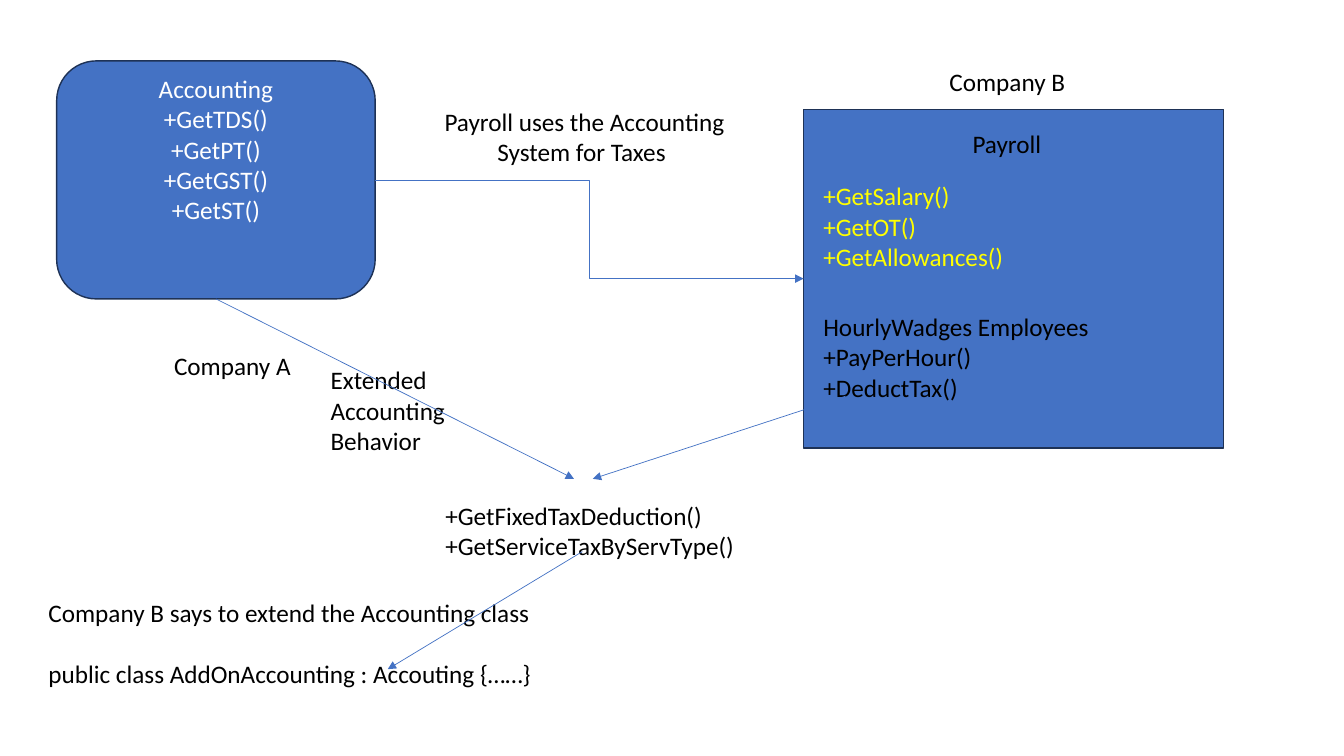
import pptx
import pptx.util
import pptx.dml.color
import pptx.enum.shapes
import pptx.enum.text
import lxml.etree

Pt = pptx.util.Pt
SHAPES = pptx.enum.shapes.MSO_SHAPE
CONNECTORS = pptx.enum.shapes.MSO_CONNECTOR
ALIGN = pptx.enum.text.PP_ALIGN
ANCHOR = pptx.enum.text.MSO_ANCHOR

BLUE, NAVY = "4472C4", "1E3256"
BLACK, WHITE, YELLOW = "000000", "FFFFFF", "FFFF00"
FONT_SIZE, LINE_HEIGHT = 18, 22

ACCOUNTING_BOX = (40.5, 43.5, 227.5, 170)
PAYROLL_BOX = (574, 78, 300, 242)
ACCOUNTING = ["Accounting", "+GetTDS()", "+GetPT()", "+GetGST()", "+GetST()"]

LABELS = [
    (["Company B"], (587.5, 43.5, 264, 29), {"centered": True}),
    (["Company A"], (34, 246.5, 264, 29), {"centered": True}),
    (["Payroll"], (581, 88, 276.5, 29), {"centered": True}),
    (["+GetSalary()", "+GetOT()", "+GetAllowances()"],
     (581, 125.5, 293, 72.5), {"color": YELLOW}),
    (["Payroll uses the Accounting System for Taxes "],
     (309.5, 72.5, 216, 51), {"centered": True}),
    (["HourlyWadges Employees", "+PayPerHour()", "+DeductTax()"],
     (581, 219, 284.5, 72.5), {}),
    (["+GetFixedTaxDeduction()", "+GetServiceTaxByServType()"],
     (311, 353.5, 222, 51), {}),
    (["Extended Accounting Behavior"], (229, 257, 159, 72.5), {}),
    (["Company B says to extend the Accounting class",
      "public class AddOnAccounting : Accouting {……}"],
     (27.5, 423, 383, 72.5), {"gap": LINE_HEIGHT}),
]

ARROWS = [
    (CONNECTORS.ELBOW, (268, 128.5), (574, 199)),
    (CONNECTORS.STRAIGHT, (604, 283), (423.5, 342)),
    (CONNECTORS.STRAIGHT, (154.25, 213.5), (410, 342)),
    (CONNECTORS.STRAIGHT, (416, 394), (277, 478)),
]


def rgb(color):
    return pptx.dml.color.RGBColor.from_string(color)


def write(frame, lines, color=BLACK, centered=False, gap=0):
    frame.word_wrap = True
    for index, line in enumerate(lines):
        paragraph = frame.paragraphs[0] if index == 0 else frame.add_paragraph()
        paragraph.alignment = ALIGN.CENTER if centered else ALIGN.LEFT
        if index and gap:
            paragraph.space_before = Pt(gap)
        run = paragraph.add_run()
        run.text = line
        run.font.name = "Calibri"
        run.font.size = Pt(FONT_SIZE)
        run.font.color.rgb = rgb(color)


def add_box(slide, preset, place):
    box = slide.shapes.add_shape(preset, *map(Pt, place))
    box.shadow.inherit = False
    box.fill.solid()
    box.fill.fore_color.rgb = rgb(BLUE)
    box.line.color.rgb = rgb(NAVY)
    box.line.width = Pt(1)
    return box


def add_arrow(slide, style, start, end):
    arrow = slide.shapes.add_connector(style, *map(Pt, start + end))
    arrow.line.color.rgb = rgb(BLUE)
    arrow.line.width = Pt(0.5)
    namespace = "{http://schemas.openxmlformats.org/drawingml/2006/main}"
    properties = arrow.line._get_or_add_ln()
    lxml.etree.SubElement(properties, namespace + "tailEnd", type="triangle")
    lxml.etree.SubElement(properties.getparent(), namespace + "effectLst")


def main():
    deck = pptx.Presentation()
    deck.slide_width, deck.slide_height = Pt(960), Pt(540)
    slide = deck.slides.add_slide(deck.slide_layouts[6])

    accounting = add_box(slide, SHAPES.ROUNDED_RECTANGLE, ACCOUNTING_BOX)
    accounting.text_frame.vertical_anchor = ANCHOR.MIDDLE
    accounting.text_frame.margin_bottom = Pt(3.6 + 2 * LINE_HEIGHT)
    write(accounting.text_frame, ACCOUNTING, color=WHITE, centered=True)
    add_box(slide, SHAPES.RECTANGLE, PAYROLL_BOX)

    for lines, place, style in LABELS:
        label = slide.shapes.add_textbox(*map(Pt, place))
        write(label.text_frame, lines, **style)
    for style, start, end in ARROWS:
        add_arrow(slide, style, start, end)

    deck.save("out.pptx")


if __name__ == "__main__":
    main()
